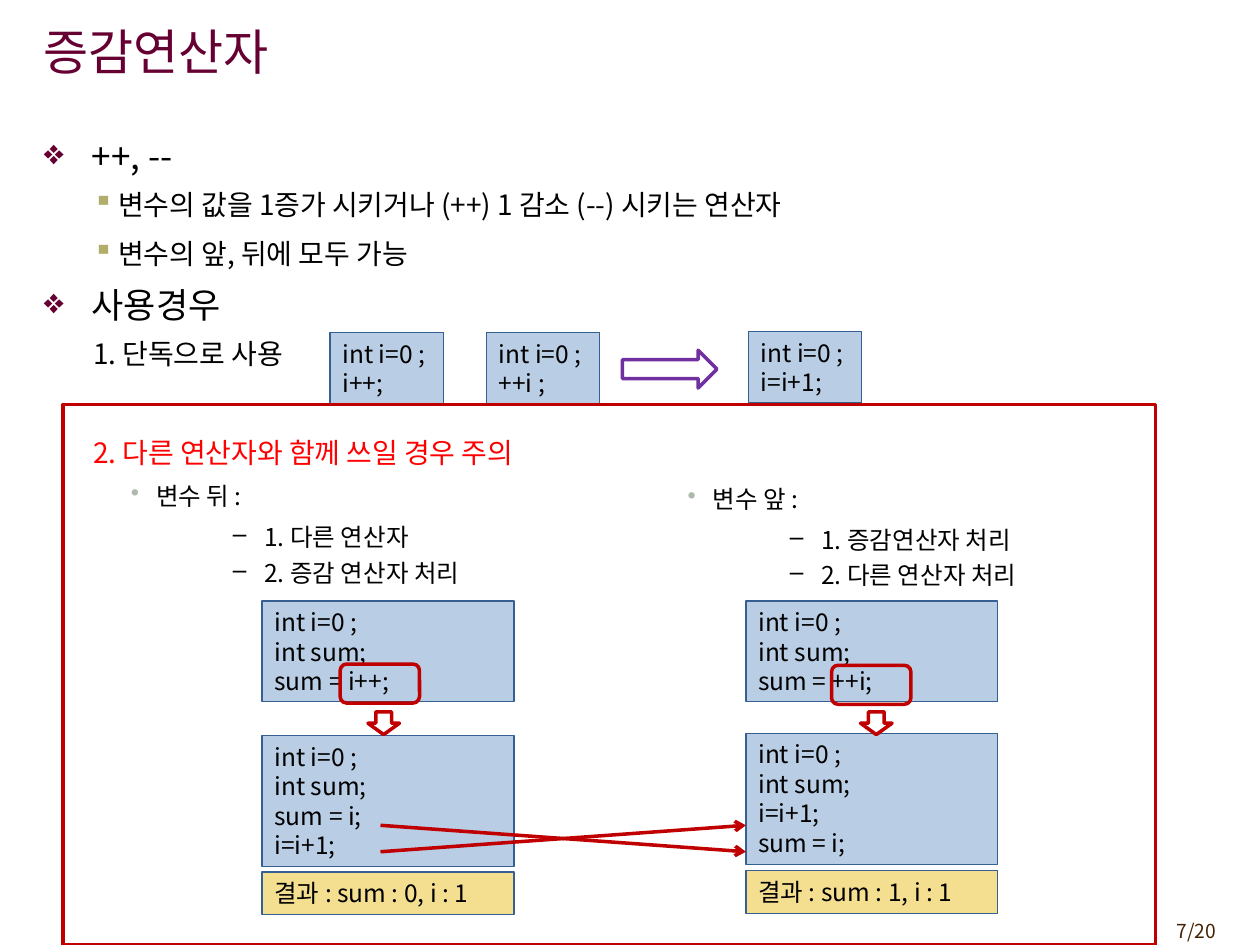
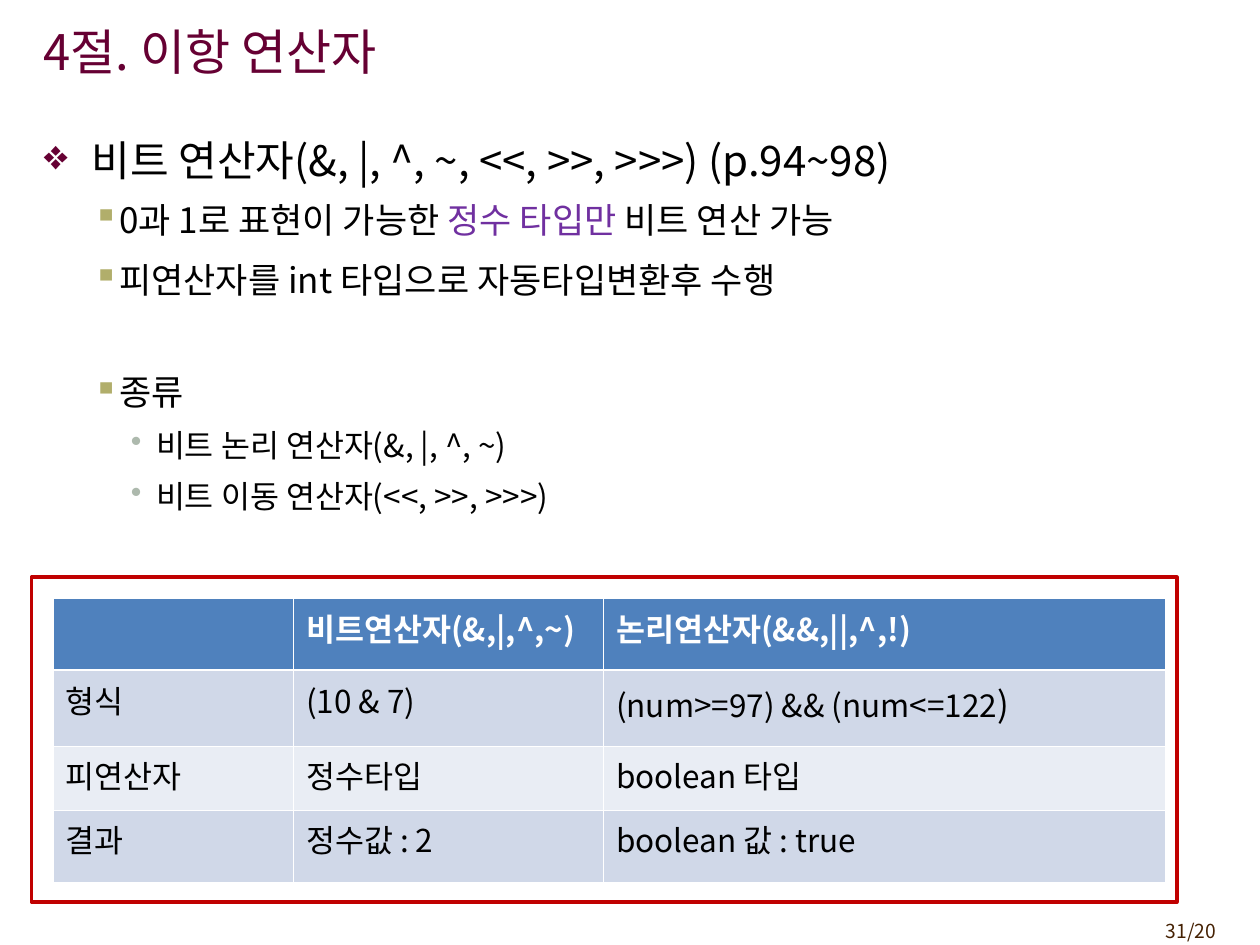
from lxml import etree
from pptx import Presentation
from pptx.dml.color import RGBColor
from pptx.enum.shapes import MSO_CONNECTOR, MSO_SHAPE
from pptx.enum.text import MSO_ANCHOR, PP_ALIGN
from pptx.oxml.ns import qn
from pptx.util import Inches, Pt

RECT, ROUND = MSO_SHAPE.RECTANGLE, MSO_SHAPE.ROUNDED_RECTANGLE
RIGHT_ARROW, DOWN_ARROW = MSO_SHAPE.RIGHT_ARROW, MSO_SHAPE.DOWN_ARROW
STRAIGHT = MSO_CONNECTOR.STRAIGHT
TOP, MIDDLE = MSO_ANCHOR.TOP, MSO_ANCHOR.MIDDLE
LEFT, RIGHT = PP_ALIGN.LEFT, PP_ALIGN.RIGHT

FONT = "Noto Sans CJK KR"
COLORS = {
    "title": "660033", "text": "000000", "page": "452103", "white": "FFFFFF",
    "square": "B1AE6B", "dot": "ADB9AD", "warning": "FF0000", "purple": "7030A0",
    "red": "C00000", "code": "B9CDE5", "code_edge": "376092", "result": "F4DF90",
    "header": "4F81BD", "band_dark": "D0D8E8", "band_light": "E9EDF4",
}

# Outline levels: bullet, bullet colour, left margin, hanging indent, line spacing, space after
LEVELS = [
    ("❖", "title", 0.38, 0.38, 1.0, 0),
    ("▪", "square", 0.59, 0.2, 1.1, 3),
    ("•", "dot", 0.89, 0.2, 1.0, 3),
    ("–", "text", 1.75, 0.25, 1.0, 0),
]
BODY_BOX = (0.25, 1.02, 9.5, 6.25)


def rgb(name):
    return RGBColor.from_string(COLORS[name])


def inches(box):
    return [Inches(value) for value in box]


def add_run(paragraph, text, size, color="text", bold=False):
    run = paragraph.add_run()
    run.text = text
    run.font.color.rgb = rgb(color)
    for name, value in {"size": Pt(size), "bold": bold, "name": FONT}.items():
        setattr(run.font, name, value)
    etree.SubElement(run._r.get_or_add_rPr(), qn("a:ea"), typeface=FONT)


def next_paragraph(frame, index):
    return frame.add_paragraph() if index else frame.paragraphs[0]


def format_frame(frame, anchor=TOP):
    settings = {"word_wrap": True, "vertical_anchor": anchor,
                "margin_left": Inches(0.1), "margin_right": Inches(0.1),
                "margin_top": Inches(0.05), "margin_bottom": Inches(0.05)}
    for name, value in settings.items():
        setattr(frame, name, value)


def add_label(slide, box, text, size, color, anchor=TOP, align=LEFT):
    frame = slide.shapes.add_textbox(*inches(box)).text_frame
    format_frame(frame, anchor)
    frame.paragraphs[0].alignment = align
    add_run(frame.paragraphs[0], text, size, color)


def new_slide(deck, title, page):
    slide = deck.slides.add_slide(deck.slide_layouts[6])
    add_label(slide, (8.92, 7.25, 0.83, 0.29), page, 11, "page", align=RIGHT)
    add_label(slide, (0.25, 0.09, 8.27, 0.63), title, 28, "title", MIDDLE)
    return slide


def set_bullet(paragraph, level, bulleted):
    char, color, margin, hanging, _, _ = LEVELS[level]
    props = paragraph._p.get_or_add_pPr()
    props.set("marL", str(Inches(margin)))
    props.set("indent", str(-Inches(hanging)))
    if bulleted:
        bullet_color = etree.SubElement(props, qn("a:buClr"))
        etree.SubElement(bullet_color, qn("a:srgbClr"), val=COLORS[color])
        etree.SubElement(props, qn("a:buChar"), char=char)
    else:
        etree.SubElement(props, qn("a:buNone"))


def add_outline(slide, box, items):
    """Each item: level, size, runs as (text, colour), and optional bulleted and gap."""
    frame = slide.shapes.add_textbox(*inches(box)).text_frame
    format_frame(frame)
    for index, (level, size, runs, *options) in enumerate(items):
        bulleted, gap = options or (True, 0)
        paragraph = next_paragraph(frame, index)
        set_bullet(paragraph, level, bulleted)
        spacing = {"level": level, "line_spacing": LEVELS[level][4],
                   "space_before": Pt(size / 4 + gap if index else 0),
                   "space_after": Pt(LEVELS[level][5])}
        for name, value in spacing.items():
            setattr(paragraph, name, value)
        for text, color in runs:
            add_run(paragraph, text, size, color)


def add_block(slide, kind, box, fill=None, edge="red", width=2.0):
    block = slide.shapes.add_shape(kind, *inches(box))
    block.shadow.inherit = False
    if fill:
        block.fill.solid()
        block.fill.fore_color.rgb = rgb(fill)
    else:
        block.fill.background()
    block.line.color.rgb = rgb(edge)
    block.line.width = Pt(width)
    return block


def add_code(slide, box, lines, fill="code"):
    frame = add_block(slide, RECT, box, fill, "code_edge", 0.75).text_frame
    format_frame(frame)
    for index, line in enumerate(lines):
        paragraph = next_paragraph(frame, index)
        paragraph.alignment = LEFT
        add_run(paragraph, line, 14)


def add_arrow(slide, start, end):
    arrow = slide.shapes.add_connector(STRAIGHT, *inches(start + end))
    arrow.line.color.rgb = rgb("red")
    arrow.line.width = Pt(2)
    etree.SubElement(arrow.line._get_or_add_ln(), qn("a:tailEnd"), type="arrow")
    etree.SubElement(arrow._element.spPr, qn("a:effectLst"))


def set_borders(cell, widths):
    props = cell._tc.get_or_add_tcPr()
    for side, width in zip("LRTB", widths):
        line = etree.SubElement(props, qn(f"a:ln{side}"), w=str(Pt(width)))
        fill = etree.SubElement(line, qn("a:solidFill"))
        etree.SubElement(fill, qn("a:srgbClr"), val=COLORS["white"])


def add_grid(slide, box, widths, heights, rows):
    table = slide.shapes.add_table(len(rows), len(widths), *inches(box)).table
    for column, width in zip(table.columns, widths):
        column.width = Inches(width)
    thin, thick = 0.45, 1.47
    for r, values in enumerate(rows):
        table.rows[r].height = Inches(heights[r])
        fill = "header" if r == 0 else ("band_dark" if r % 2 else "band_light")
        for c, runs in enumerate(values):
            cell = table.cell(r, c)
            set_borders(cell, (thin, thin, thick if r == 1 else thin,
                               thick if r == 0 else thin))
            cell.fill.solid()
            cell.fill.fore_color.rgb = rgb(fill)
            for text, size in runs:
                add_run(cell.text_frame.paragraphs[0], text, size,
                        "white" if r == 0 else "text", r == 0)


def build_increment_slide(deck):
    slide = new_slide(deck, "증감연산자", "7/20")
    add_outline(slide, BODY_BOX, [
        (0, 20, [("++, --", "text")]),
        (1, 16, [("변수의 값을 1증가 시키거나 (++) 1 감소 (--) 시키는 연산자", "text")]),
        (1, 16, [("변수의 앞, 뒤에 모두 가능", "text")]),
        (0, 20, [("사용경우", "text")]),
        (1, 16, [("1. 단독으로 사용", "text")], False, 0),
        (1, 16, [("2. 다른 연산자와 함께 쓰일 경우 주의", "warning")], False, 28.5),
    ])

    # Stand-alone use
    for left, top, statement in ((2.62, 2.64, "i++;"), (3.86, 2.64, "++i ;"),
                                 (5.94, 2.63, "i=i+1;")):
        add_code(slide, (left, top, 0.9, 0.57), ["int i=0 ;", statement])
    add_block(slide, RIGHT_ARROW, (4.94, 2.78, 0.75, 0.3), edge="purple")

    # Postfix and prefix columns
    columns = [
        {"heading": "변수 뒤 :", "steps": ("1. 다른 연산자", "2. 증감 연산자 처리"),
         "outline": (0.25, 3.77), "left": 2.08, "expression": "i++;",
         "mark": (2.7, 5.27), "arrow": 2.92, "expanded": ["sum = i;", "i=i+1;"],
         "expanded_top": 5.84, "result": "결과 : sum : 0, i : 1", "result_top": 6.92},
        {"heading": "변수 앞 :", "steps": ("1. 증감연산자 처리", "2. 다른 연산자 처리"),
         "outline": (4.67, 3.79), "left": 5.92, "expression": "++i;",
         "mark": (6.6, 5.28), "arrow": 6.83, "expanded": ["i=i+1;", "sum = i;"],
         "expanded_top": 5.82, "result": "결과 : sum : 1, i : 1", "result_top": 6.91},
    ]
    declarations = ["int i=0 ;", "int sum;"]
    for column in columns:
        left = column["left"]
        add_outline(slide, column["outline"] + (4.67, 3.71),
                    [(2, 14, [(column["heading"], "text")])]
                    + [(3, 14, [(step, "text")]) for step in column["steps"]])
        add_code(slide, (left, 4.77, 2, 0.8),
                 declarations + ["sum = " + column["expression"]])
        add_block(slide, ROUND, column["mark"] + (0.63, 0.31))
        add_code(slide, (left, column["expanded_top"], 2, 1.04),
                 declarations + column["expanded"])
        add_block(slide, DOWN_ARROW, (column["arrow"], 5.65, 0.25, 0.18))
        add_code(slide, (left, column["result_top"], 2, 0.34),
                 [column["result"]], "result")

    # Swapped order of the two statements
    upper, lower = 6.55, 6.76
    for start, end in ((lower, upper), (upper, lower)):
        add_arrow(slide, (3.02, start), (5.92, end))
    add_block(slide, RECT, (0.5, 3.21, 8.67, 4.29))


def build_bitwise_slide(deck):
    slide = new_slide(deck, "4절. 이항 연산자", "31/20")
    add_outline(slide, BODY_BOX, [
        (0, 24, [("비트 연산자(&, |, ^, ~, <<, >>, >>>) (p.94~98)", "text")]),
        (1, 20, [("0과 1로 표현이 가능한 ", "text"), ("정수 타입만 ", "purple"),
                 ("비트 연산 가능", "text")]),
        (1, 20, [("피연산자를 int 타입으로 자동타입변환후 수행", "text")]),
        (1, 20, [("종류", "text")], True, 30),
        (2, 18, [("비트 논리 연산자(&, |, ^, ~)", "text")]),
        (2, 18, [("비트 이동 연산자(<<, >>, >>>)", "text")]),
    ])

    # Bitwise and logical operators compared
    rows = [
        [[], [("비트연산자(&,|,^,~)", 18)], [("논리연산자(&&,||,^,!)", 18)]],
        [[("형식", 18)], [("(10 & 7)", 18)],
         [("(num>=97) && (num<=122", 18), (")", 20)]],
        [[("피연산자", 18)], [("정수타입", 18)], [("boolean 타입", 18)]],
        [[("결과", 18)], [("정수값 : 2", 18)], [("boolean 값 : true", 18)]],
    ]
    add_grid(slide, (0.42, 4.75, 8.83, 2.25), (1.91, 2.46, 4.46),
             (0.57, 0.6, 0.51, 0.57), rows)
    add_block(slide, RECT, (0.25, 4.58, 9.09, 2.58))


def main():
    deck = Presentation()
    deck.slide_width, deck.slide_height = Inches(10), Inches(7.5)
    build_increment_slide(deck)
    build_bitwise_slide(deck)
    deck.save("out.pptx")


if __name__ == "__main__":
    main()
